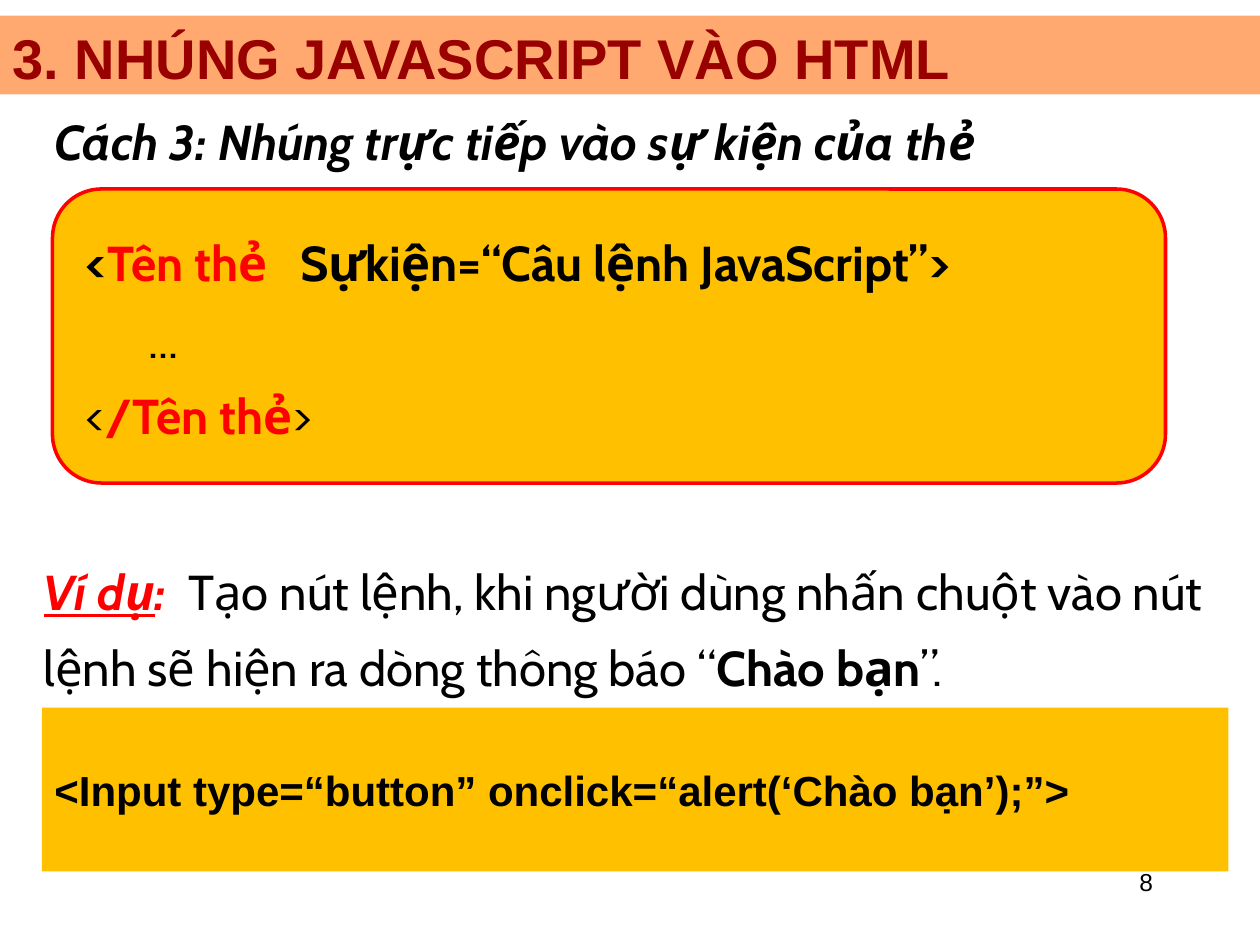
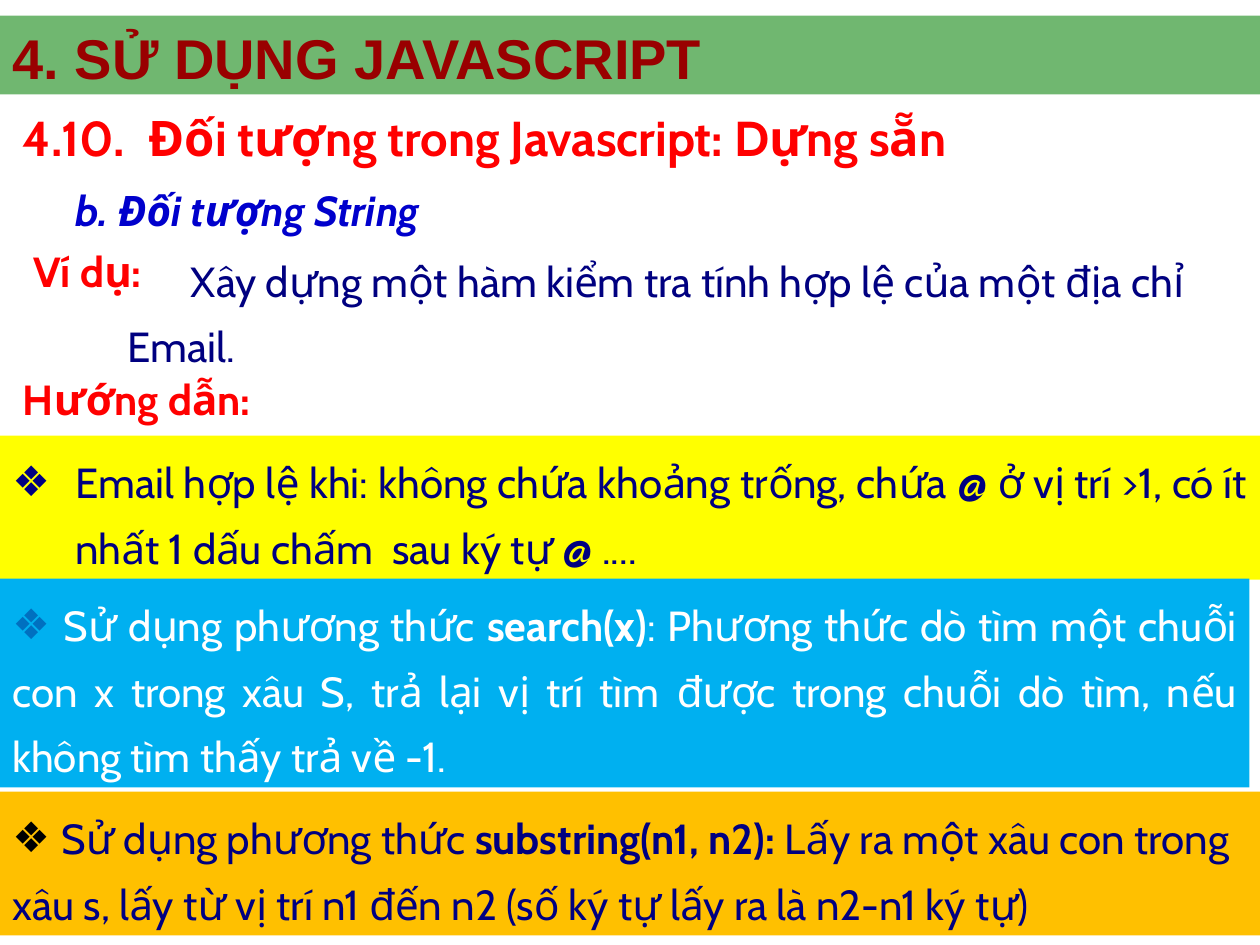
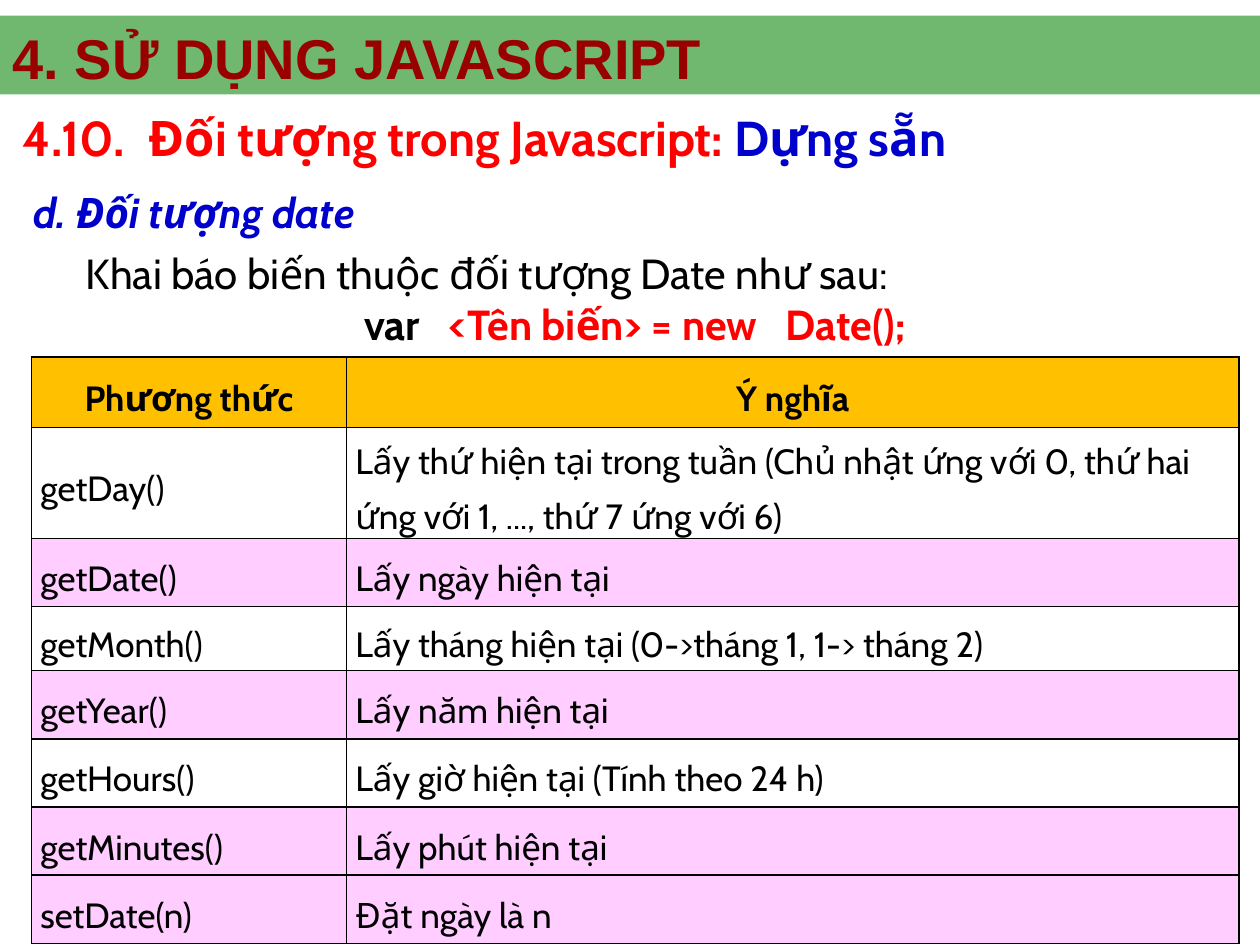
from dataclasses import dataclass, replace

from lxml.etree import SubElement
from pptx import Presentation
from pptx.dml.color import RGBColor
from pptx.enum.shapes import MSO_SHAPE as Preset
from pptx.enum.text import MSO_ANCHOR as Anchor, MSO_AUTO_SIZE as AutoSize, PP_ALIGN as Align
from pptx.oxml.ns import qn
from pptx.util import Inches, Pt

BLACK = RGBColor(0x00, 0x00, 0x00)
WHITE = RGBColor(0xFF, 0xFF, 0xFF)
RED = RGBColor(0xFF, 0x00, 0x00)
DARK_RED = RGBColor(0x99, 0x00, 0x00)
BLUE = RGBColor(0x00, 0x00, 0xCC)
NAVY = RGBColor(0x00, 0x00, 0x80)
SKY = RGBColor(0x00, 0xB0, 0xF0)
STEEL = RGBColor(0x00, 0x70, 0xC0)
AMBER = RGBColor(0xFF, 0xC0, 0x00)
YELLOW = RGBColor(0xFF, 0xFF, 0x00)
PINK = RGBColor(0xFF, 0xCD, 0xFF)
ORANGE = RGBColor(0xFF, 0x66, 0x00)
GREEN = RGBColor(0x00, 0x80, 0x00)

SLIDE_WIDTH, SLIDE_HEIGHT = Inches(10), Inches(7.5)
COLUMNS, ROWS = 120, 90
COLUMN, ROW = SLIDE_WIDTH / COLUMNS, SLIDE_HEIGHT / ROWS
TITLE_ONLY = 5
BAND_OPACITY = 56
LOOSE = 1.3
USING_TITLE = "4. SỬ DỤNG JAVASCRIPT"


@dataclass(frozen=True)
class Box:
    left: float
    top: float
    width: float
    height: float

    def inner(self, left, top, width, height):
        return Box(self.left + left, self.top + top, width, height)

    def lengths(self):
        return (round(self.left * COLUMN), round(self.top * ROW),
                round(self.width * COLUMN), round(self.height * ROW))


@dataclass(frozen=True)
class Style:
    size: int = 24
    color: RGBColor = BLACK
    bold: bool = False
    italic: bool = False
    underline: bool = False
    font: str = "Cabin"


@dataclass(frozen=True)
class Layout:
    align: Align = Align.LEFT
    spacing: float = 1.0
    margin: float = 0
    indent: float = 0
    bullet: RGBColor = None


HEADING = Style(28, RED, bold=True)
SUBHEADING = Style(24, BLUE, bold=True, italic=True)
LABEL = Style(24, RED, bold=True)
NAVY_TEXT = Style(24, NAVY)
LABEL_LAYOUT = Layout(Align.JUSTIFY, indent=0.5)
LOOSE_LAYOUT = Layout(spacing=LOOSE)
TITLE = Style(32, DARK_RED, bold=True, font="Arial")


def add_runs(paragraph, runs, layout=Layout()):
    paragraph.alignment = layout.align
    paragraph.line_spacing = layout.spacing
    properties = paragraph._p.get_or_add_pPr()
    properties.set("marL", str(Inches(layout.margin)))
    properties.set("indent", str(Inches(layout.indent)))
    if layout.bullet is not None:
        color = SubElement(properties, qn("a:buClr"))
        SubElement(color, qn("a:srgbClr"), val=str(layout.bullet))
        SubElement(properties, qn("a:buFont"), typeface="Arial")
        SubElement(properties, qn("a:buChar"), char="❖")
    tabs = SubElement(properties, qn("a:tabLst"))
    SubElement(tabs, qn("a:tab"), pos=str(Inches(1)), algn="l")
    for text, style in runs:
        run = paragraph.add_run()
        run.text = text
        font = run.font
        font.name, font.size = style.font, Pt(style.size)
        font.bold, font.italic, font.underline = style.bold, style.italic, style.underline
        font.color.rgb = style.color


def fill_text(frame, paragraphs, layouts, anchor):
    frame.word_wrap = True
    frame.auto_size = AutoSize.NONE
    frame.vertical_anchor = anchor
    for index, runs in enumerate(paragraphs):
        paragraph = frame.add_paragraph() if index else frame.paragraphs[0]
        add_runs(paragraph, runs, layouts[min(index, len(layouts) - 1)])


def add_text(slide, box, paragraphs, *layouts, anchor=Anchor.TOP):
    shape = slide.shapes.add_textbox(*box.lengths())
    fill_text(shape.text_frame, paragraphs, layouts or (Layout(),), anchor)


def add_panel(slide, box, color, preset=Preset.RECTANGLE):
    shape = slide.shapes.add_shape(preset, *box.lengths())
    shape.shadow.inherit = False
    shape.fill.solid()
    shape.fill.fore_color.rgb = color
    shape.line.fill.background()
    return shape


def start_slide(presentation, title, band_color):
    slide = presentation.slides.add_slide(presentation.slide_layouts[TITLE_ONLY])
    header = Box(0, 1.5, COLUMNS, 7.5)
    band = add_panel(slide, header, band_color)
    color = band.element.spPr.find(qn("a:solidFill"))[0]
    SubElement(color, qn("a:alpha"), val=str(BAND_OPACITY * 1000))
    shape = slide.shapes.title
    shape.left, shape.top, shape.width, shape.height = header.inner(0, 1.4, COLUMNS, 5).lengths()
    fill_text(shape.text_frame, [[(title, TITLE)]], (Layout(),), Anchor.MIDDLE)
    shape.element.addprevious(band.element)
    return slide


def add_page_number(slide, box, number):
    add_text(slide, box, [[(number, Style(14, font="Arial"))]], Layout(Align.RIGHT))


def add_section_heading(slide, box, ending_color):
    runs = [("4.10.\tĐối tượng trong Javascript: ", HEADING),
            ("Dựng sẵn", replace(HEADING, color=ending_color))]
    add_text(slide, box, [runs], anchor=Anchor.MIDDLE)


def add_syntax_panel(slide, box):
    panel = add_panel(slide, box, AMBER, Preset.ROUNDED_RECTANGLE)
    panel.line.color.rgb = RED
    panel.line.width = Pt(2)
    plain = Style(28)
    strong = replace(plain, bold=True)
    lines = [
        [("<", strong), ("Tên thẻ   ", HEADING), ("Sựkiện=“Câu lệnh JavaScript”>", strong)],
        [("\t...", plain)],
        [("<", plain), ("/Tên thẻ", HEADING), (">", plain)],
    ]
    add_text(slide, box.inner(2, 1.9, 104, 23), lines, LOOSE_LAYOUT)


def add_button_example(slide, box):
    plain = Style(28)
    label = replace(HEADING, italic=True)
    task = [
        ("Ví dụ", replace(label, underline=True)),
        (":  ", label),
        ("Tạo nút lệnh, khi người dùng nhấn chuột vào nút lệnh sẽ hiện ra dòng thông báo “", plain),
        ("Chào bạn", replace(plain, bold=True)),
        ("”.", plain),
    ]
    add_text(slide, box.inner(0, 0, 113, 15.8), [task], LOOSE_LAYOUT)
    panel = add_panel(slide, box.inner(1, 16.2, 113, 15.6), AMBER)
    code = "<Input type=“button” onclick=“alert(‘Chào bạn’);”>"
    fill_text(panel.text_frame, [[(code, Style(bold=True, font="Arial"))]],
              (Layout(),), Anchor.MIDDLE)


def add_email_task(slide, box):
    add_text(slide, box.inner(6, 0, 41, 6), [[("b. Đối tượng String", SUBHEADING)]])
    add_text(slide, box.inner(-4, 5.8, 20, 6), [[("Ví dụ:", LABEL)]],
             LABEL_LAYOUT, anchor=Anchor.MIDDLE)
    task = "Xây dựng một hàm kiểm tra tính hợp lệ của một địa chỉ Email."
    add_text(slide, box.inner(11, 5.3, 104, 13.7), [[(task, NAVY_TEXT)]],
             Layout(spacing=LOOSE, indent=0.5))
    add_text(slide, box.inner(-5, 18, 32, 6), [[("Hướng dẫn:", LABEL)]],
             LABEL_LAYOUT, anchor=Anchor.MIDDLE)


def method_runs(color, lead_color, method, description):
    plain = Style(color=color)
    return [
        (" ", Style(color=lead_color, bold=True, font="Arial")),
        ("Sử dụng phương thức ", plain),
        (method, replace(plain, bold=True)),
        (description, plain),
    ]


def add_email_hints(slide, box):
    rule = [("Email hợp lệ khi: không chứa khoảng trống, chứa @ ở vị trí >1, có ít nhất "
             "1 dấu chấm  sau ký tự @ ....", NAVY_TEXT)]
    search = method_runs(
        WHITE, WHITE, "search(x)",
        ": Phương thức dò tìm một chuỗi con x trong xâu S, trả lại vị trí tìm được "
        "trong chuỗi dò tìm, nếu không tìm thấy trả về -1.")
    substring = method_runs(
        NAVY, BLACK, "substring(n1, n2): ",
        "Lấy ra một xâu con trong xâu s, lấy từ vị trí n1 đến n2 "
        "(số ký tự lấy ra là n2-n1 ký tự)")
    hints = [
        (0, COLUMNS, 13.7, YELLOW, rule, Layout(Align.JUSTIFY, LOOSE, 0.5, -0.5, NAVY)),
        (13.6, 119, 19.9, SKY, search, Layout(Align.JUSTIFY, LOOSE, 0, -0.17, STEEL)),
        (33.9, COLUMNS, 13.7, AMBER, substring, Layout(Align.LEFT, LOOSE, 0, -0.17, BLACK)),
    ]
    for top, width, height, color, runs, layout in hints:
        panel = add_panel(slide, box.inner(0, top, width, height), color)
        fill_text(panel.text_frame, [runs], (layout,), Anchor.TOP)


def add_date_declaration(slide, box):
    plain = Style()
    lines = [
        [("Khai báo biến thuộc đối tượng Date như sau:", plain)],
        [("var   ", replace(plain, bold=True)), ("<Tên biến> = new   Date();", LABEL)],
    ]
    add_text(slide, box.inner(5, 6.7, 107, 10.8), lines,
             Layout(), Layout(Align.CENTER), anchor=Anchor.MIDDLE)
    add_text(slide, box.inner(0, 0, 108, 7.7), [[("d. Đối tượng date", SUBHEADING)]],
             anchor=Anchor.MIDDLE)


def add_cell_borders(cell):
    properties = cell._tc.get_or_add_tcPr()
    for index, side in enumerate(("lnL", "lnR", "lnT", "lnB")):
        line = SubElement(properties, qn("a:" + side), w=str(Pt(1)))
        fill = SubElement(line, qn("a:solidFill"))
        SubElement(fill, qn("a:srgbClr"), val=str(BLACK))
        properties.insert(index, line)


def add_method_table(slide, box):
    records = [
        ("Phương thức", "Ý nghĩa", 6.7, AMBER),
        ("getDay()", "Lấy thứ hiện tại trong tuần (Chủ nhật ứng với 0, thứ hai ứng với 1, "
         "..., thứ 7 ứng với 6)", 10.4, None),
        ("getDate()", "Lấy ngày hiện tại", 6.5, PINK),
        ("getMonth()", "Lấy tháng hiện tại (0->tháng 1, 1-> tháng 2)", 6.1, None),
        ("getYear()", "Lấy năm hiện tại", 6.5, PINK),
        ("getHours()", "Lấy giờ hiện tại (Tính theo 24 h)", 6.5, None),
        ("getMinutes()", "Lấy phút hiện tại", 6.5, PINK),
        ("setDate(n)", "Đặt ngày là n", 6.5, PINK),
    ]
    table = slide.shapes.add_table(len(records), 2, *box.lengths()).table
    table.first_row = table.horz_banding = False
    for column, width in zip(table.columns, (30, box.width - 30)):
        column.width = round(width * COLUMN)
    for index, (method, meaning, height, color) in enumerate(records):
        table.rows[index].height = round(height * ROW)
        header = index == 0
        layout = Layout(Align.CENTER if header else Align.LEFT, LOOSE)
        for cell, text in zip(table.rows[index].cells, (method, meaning)):
            cell.margin_left = cell.margin_right = Inches(0.07)
            cell.margin_top = cell.margin_bottom = 0
            cell.vertical_anchor = Anchor.MIDDLE
            if color is None:
                cell.fill.background()
            else:
                cell.fill.solid()
                cell.fill.fore_color.rgb = color
            add_cell_borders(cell)
            add_runs(cell.text_frame.paragraphs[0], [(text, Style(20, bold=header))], layout)


def build_embedding_slide(presentation):
    slide = start_slide(presentation, "3. NHÚNG JAVASCRIPT VÀO HTML", ORANGE)
    add_page_number(slide, Box(86, 82, 25, 6), "8")
    heading = Style(28, bold=True, italic=True)
    add_text(slide, Box(4, 10, 112, 8.4),
             [[("Cách 3: Nhúng trực tiếp vào sự kiện của thẻ", heading)]],
             Layout(margin=0.38, indent=-0.38))
    add_syntax_panel(slide, Box(5, 18, 106, 28))
    add_button_example(slide, Box(3, 51.2, 114, 31.8))


def build_string_slide(presentation):
    slide = start_slide(presentation, USING_TITLE, GREEN)
    add_section_heading(slide, Box(1, 9, 114, 8), RED)
    add_email_task(slide, Box(0, 17, COLUMNS, 24))
    add_email_hints(slide, Box(0, 41.5, COLUMNS, 47.6))


def build_date_slide(presentation):
    slide = start_slide(presentation, USING_TITLE, GREEN)
    add_section_heading(slide, Box(1, 9, 114, 8), BLUE)
    add_date_declaration(slide, Box(2, 16.3, 112, 17.5))
    add_method_table(slide, Box(3, 34, 115, 55.7))


def main():
    presentation = Presentation()
    presentation.slide_width, presentation.slide_height = SLIDE_WIDTH, SLIDE_HEIGHT
    build_embedding_slide(presentation)
    build_string_slide(presentation)
    build_date_slide(presentation)
    presentation.save("out.pptx")


if __name__ == "__main__":
    main()
